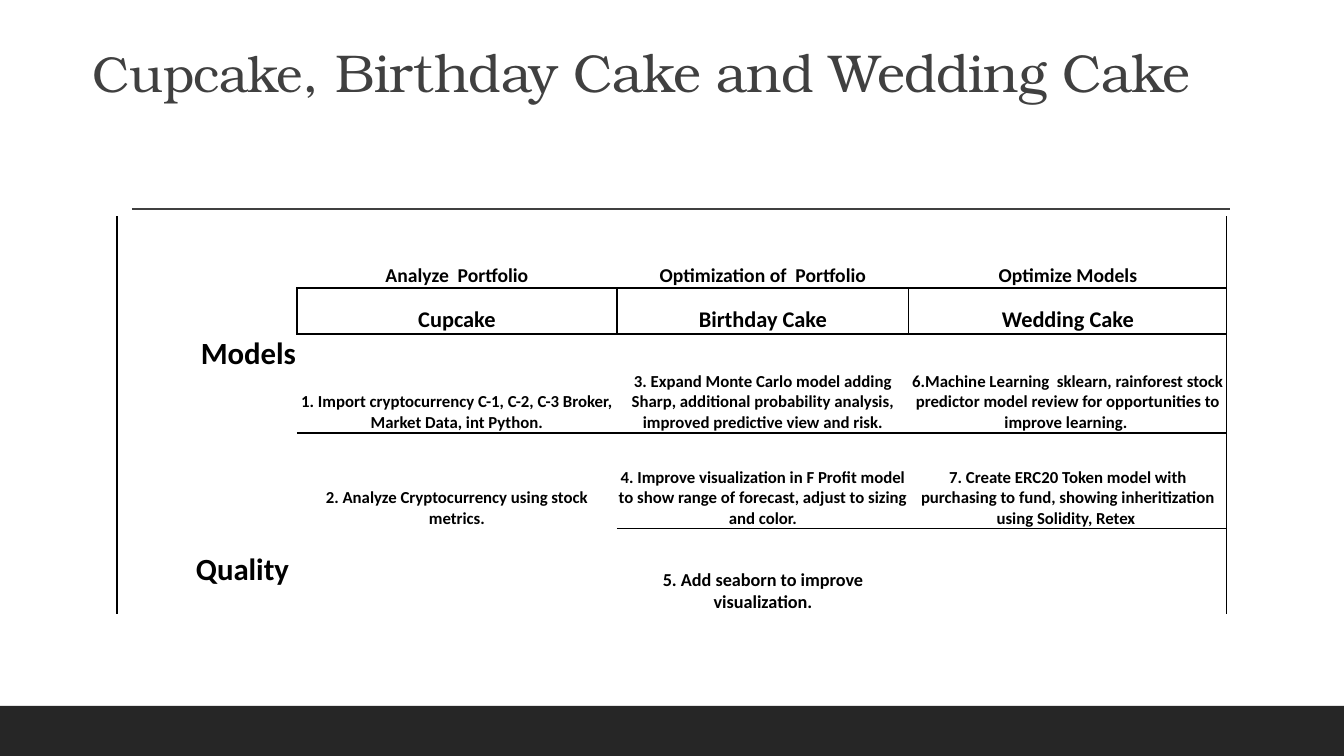
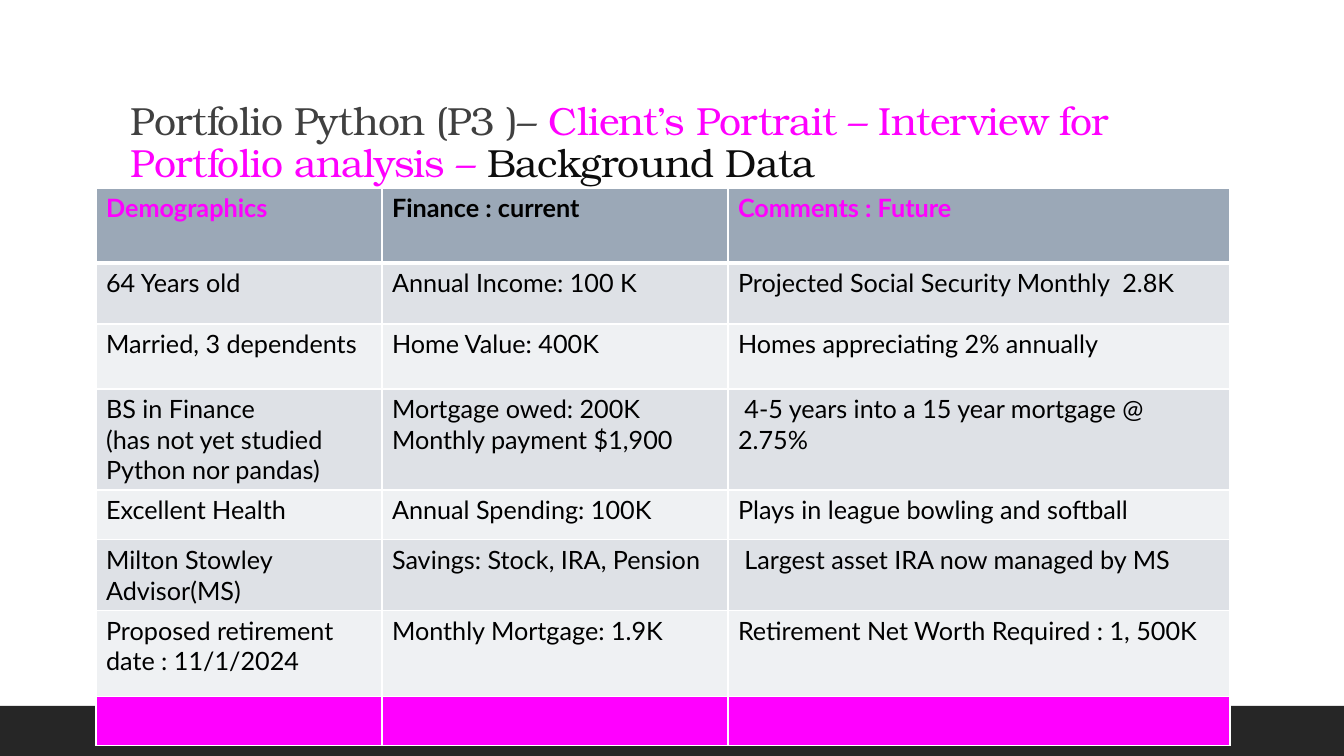
import collections

import lxml.etree
import pptx
import pptx.dml.color
import pptx.enum.shapes
import pptx.enum.text
import pptx.oxml.ns
import pptx.util

RGB = pptx.dml.color.RGBColor
ALIGN = pptx.enum.text.PP_ALIGN
ANCHOR = pptx.enum.text.MSO_ANCHOR
qn = pptx.oxml.ns.qn

BLACK = RGB(0x00, 0x00, 0x00)
WHITE = RGB(0xFF, 0xFF, 0xFF)
NEAR_BLACK = RGB(0x0D, 0x0D, 0x0D)
BAND = RGB(0x26, 0x26, 0x26)
GRAY = RGB(0x40, 0x40, 0x40)
MAGENTA = RGB(0xFF, 0x00, 0xFF)
HEADER = RGB(0x9B, 0xA8, 0xB7)
ODD_ROW = RGB(0xDE, 0xE1, 0xE6)
EVEN_ROW = RGB(0xEF, 0xF1, 0xF3)

TITLE_FONT = "TeX Gyre Bonum"
PLAIN_STYLE = "{2D5ABB26-0587-4C30-8999-92F81FD0307C}"
WIDTH, HEIGHT = 1344, 756
EMU_PER_PX = 914400 / 100.8

# First row, first column, rows spanned, text, size
STAGE_CELLS = [
    (0, 1, 1, "Analyze  Portfolio", 14),
    (0, 2, 1, "Optimization of  Portfolio", 14),
    (0, 3, 1, "Optimize Models", 14),
    (1, 1, 1, "Cupcake", 16),
    (1, 2, 1, "Birthday Cake", 16),
    (1, 3, 1, "Wedding Cake", 16),
    (2, 0, 1, "Models", 22),
    (2, 1, 2, "1. Import cryptocurrency C-1, C-2, C-3 Broker, Market Data, int Python.", 12),
    (2, 2, 2, "3. Expand Monte Carlo model adding Sharp, additional probability analysis, "
              "improved predictive view and risk.", 12),
    (2, 3, 2, "6.Machine Learning  sklearn, rainforest stock predictor model review for "
              "opportunities to improve learning. ", 12),
    (4, 1, 2, "2. Analyze Cryptocurrency using stock metrics.", 12),
    (4, 2, 2, "4. Improve visualization in F Profit model to show range of forecast, "
              "adjust to sizing and color.", 12),
    (4, 3, 2, "7. Create ERC20 Token model with purchasing to fund, showing inheritization "
              "using Solidity, Retex ", 12),
    (6, 0, 1, "Quality ", 22),
    (6, 2, 2, "5. Add seaborn to improve visualization.", 13),
]
# Row above each rule: columns it runs under
STAGE_RULES = {0: (1, 2, 3), 1: (1, 2, 3), 3: (2, 3), 5: (2,)}

CLIENT_ROWS = [
    ("Demographics", "Finance : current", "Comments : Future"),
    ("64 Years old", "Annual Income: 100 K", "Projected Social Security Monthly  2.8K"),
    ("Married, 3 dependents", "Home Value: 400K", "Homes appreciating 2% annually"),
    ("BS in Finance\n(has not yet studied Python nor pandas)",
     "Mortgage owed: 200K\nMonthly payment $1,900",
     " 4-5 years into a 15 year mortgage @ 2.75%"),
    ("Excellent Health", "Annual Spending: 100K", "Plays in league bowling and softball"),
    ("Milton Stowley Advisor(MS)", "Savings: Stock, IRA, Pension",
     " Largest asset IRA now managed by MS"),
    ("Proposed retirement date : 11/1/2024", "Monthly Mortgage: 1.9K",
     "Retirement Net Worth Required : 1, 500K"),
    ("", "", ""),
]


def px(n):
    return pptx.util.Emu(round(n * EMU_PER_PX))


def add_base(prs):
    """Add a slide with the bottom band and the rule under the title."""
    s = prs.slides.add_slide(prs.slide_layouts[6])
    band = s.shapes.add_shape(pptx.enum.shapes.MSO_SHAPE.RECTANGLE,
                              px(0), px(706), px(WIDTH), px(50))
    band.shadow.inherit = False
    band.fill.solid()
    band.fill.fore_color.rgb = BAND
    band.line.fill.background()
    rule = s.shapes.add_connector(pptx.enum.shapes.MSO_CONNECTOR.STRAIGHT,
                                  px(132), px(209), px(1230), px(209))
    rule.line.color.rgb = GRAY
    rule.line.width = pptx.util.Pt(1)
    lxml.etree.SubElement(rule.line._get_or_add_ln().getparent(), qn("a:effectLst"))
    return s


def add_title(s, box, parts):
    """Add the title; parts are (text, size, colour)."""
    tf = s.shapes.add_textbox(*map(px, box)).text_frame
    tf.word_wrap = True
    tf.vertical_anchor = ANCHOR.BOTTOM
    p = tf.paragraphs[0]
    p.line_spacing = 0.9
    p.font.name = TITLE_FONT
    for text, size, color in parts:
        r = p.add_run()
        r.text = text
        r.font.size = pptx.util.Pt(size)
        r.font.color.rgb = color
        r.font._element.set("spc", "-50")


def add_plain_table(s, left, top, widths, heights):
    frame = s.shapes.add_table(len(heights), len(widths), px(left), px(top),
                               px(sum(widths)), px(sum(heights)))
    table = frame.table
    frame._element.find(".//" + qn("a:tableStyleId")).text = PLAIN_STYLE
    for column, width in zip(table.columns, widths):
        column.width = px(width)
    for row, height in zip(table.rows, heights):
        row.height = px(height)
    return table


def write_cell(cell, text, font, size, color, bold, align=ALIGN.LEFT):
    cell.text = text
    for p in cell.text_frame.paragraphs:
        p.alignment = align
        p.font.name = font
        p.font.size = pptx.util.Pt(size)
        p.font.bold = bold
        p.font.color.rgb = color
        if not text:
            end = lxml.etree.SubElement(p._p, qn("a:endParaRPr"))
            end.set("sz", str(size * 100))


def draw_edges(cell, color, widths):
    """Draw cell borders; widths maps a side (L, R, T, B) to points."""
    tc_pr = cell._tc.get_or_add_tcPr()
    sides = [side for side in "LRTB" if side in widths]
    for i, side in enumerate(sides):
        ln = tc_pr.makeelement(qn("a:ln" + side), {"w": str(pptx.util.Pt(widths[side]))})
        fill = lxml.etree.SubElement(ln, qn("a:solidFill"))
        lxml.etree.SubElement(fill, qn("a:srgbClr"), val=str(color))
        tc_pr.insert(i, ln)


def stage_edges(rows, last):
    """Map (row, column) to the bordered sides of that cell."""
    edges = collections.defaultdict(set)
    for row in range(rows):
        edges[row, 0].add("L")
        edges[row, last].add("R")
    for row, columns in STAGE_RULES.items():
        for col in columns:
            edges[row, col].add("B")
            edges[row + 1, col].add("T")
    for col in range(last):
        edges[1, col].add("R")
        edges[1, col + 1].add("L")
    return edges


def add_stage_table(s, left, top):
    widths = (180, 320, 292, 318)
    heights = (72, 46, 39, 60, 39, 57, 60, 25)
    table = add_plain_table(s, left, top, widths, heights)
    texts = {(row, col): (text, size) for row, col, _, text, size in STAGE_CELLS}
    edges = stage_edges(len(heights), len(widths) - 1)
    for row in range(len(heights)):
        for col in range(len(widths)):
            cell = table.cell(row, col)
            cell.margin_left = cell.margin_right = cell.margin_top = px(1)
            cell.margin_bottom = 0
            cell.vertical_anchor = ANCHOR.BOTTOM
            cell.fill.background()
            text, size = texts.get((row, col), ("", 12))
            write_cell(cell, text, "Calibri", size, BLACK, True,
                       ALIGN.CENTER if col else ALIGN.RIGHT)
            draw_edges(cell, BLACK, dict.fromkeys(edges[row, col], 1))
    for row, col, span, _, _ in STAGE_CELLS:
        if span > 1:
            table.cell(row, col).merge(table.cell(row + span - 1, col))


def add_client_table(s, left, top):
    table = add_plain_table(s, left, top, (286, 346, 502),
                            (75, 61, 65, 101, 50, 70, 86, 49))
    last = len(CLIENT_ROWS) - 1
    for row, texts in enumerate(CLIENT_ROWS):
        fill = {0: HEADER, last: MAGENTA}.get(row, ODD_ROW if row % 2 else EVEN_ROW)
        for col, text in enumerate(texts):
            cell = table.cell(row, col)
            cell.fill.solid()
            cell.fill.fore_color.rgb = fill
            color = MAGENTA if row == 0 and col != 1 else BLACK
            write_cell(cell, text, "Lato", 18, color, row == 0)
            draw_edges(cell, WHITE, {"L": 1, "R": 1, "T": 3 if row == 1 else 1,
                                     "B": 3 if row == 0 else 1})


def build_stages(prs):
    s = add_base(prs)
    add_title(s, (83, 29, 1147, 80), [
        ("Cupcake", 36, GRAY),
        (", Birthday Cake and Wedding Cake", 38, GRAY),
    ])
    add_stage_table(s, 117, 216)


def build_client(prs):
    s = add_base(prs)
    add_title(s, (121, 31, 1109, 160), [
        ("Portfolio Python (P3 )– ", 28, GRAY),
        ("Client’s Portrait – Interview for Portfolio analysis – ", 28, MAGENTA),
        ("Background Data", 28, NEAR_BLACK),
    ])
    add_client_table(s, 96, 188)


def main():
    prs = pptx.Presentation()
    prs.slide_width, prs.slide_height = px(WIDTH), px(HEIGHT)
    build_stages(prs)
    build_client(prs)
    prs.save("out.pptx")


if __name__ == "__main__":
    main()
